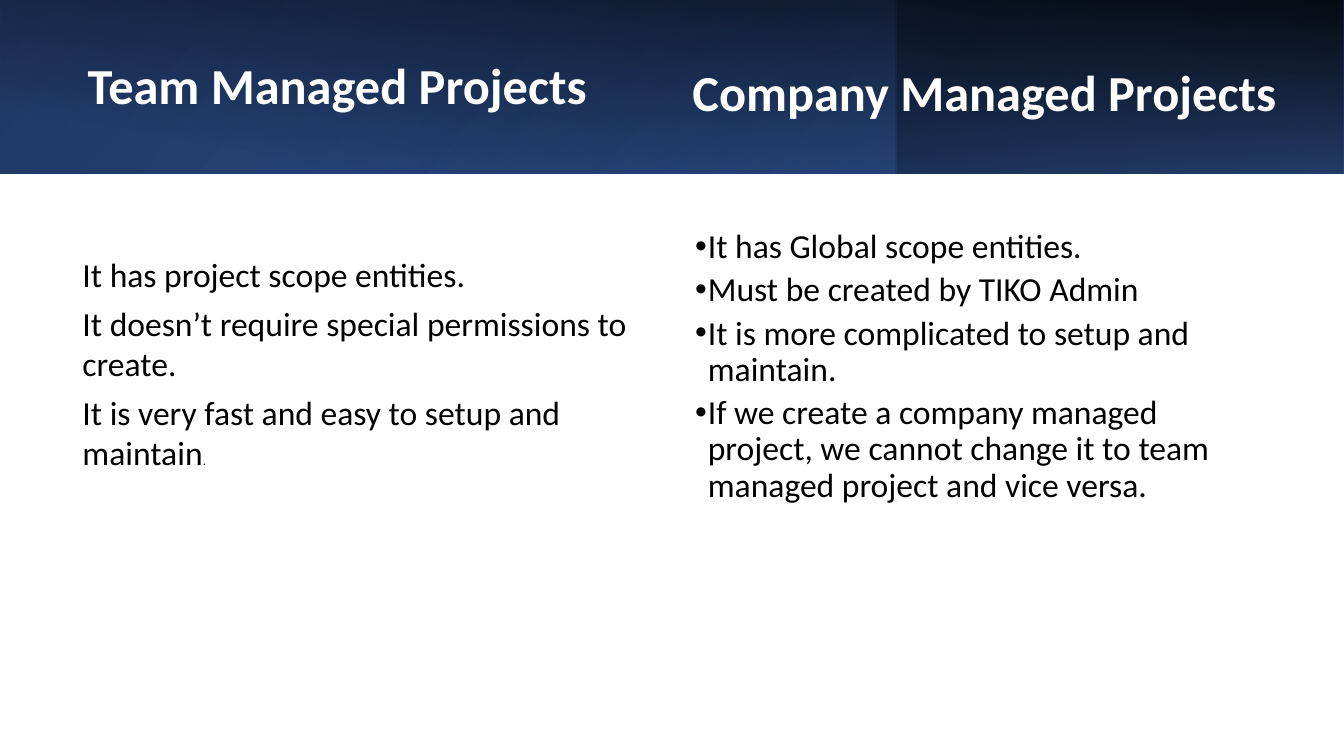
from lxml import etree
from pptx import Presentation
from pptx import util as u
from pptx.dml.color import RGBColor
from pptx.enum import shapes, text
from pptx.oxml import ns

COLORS = {
    "navy": "203864",
    "blue": "2F5597",
    "sky": "4472C4",
    "black": "000000",
    "white": "FFFFFF",
}
FONT = "Calibri"
SLIDE_WIDTH, SLIDE_HEIGHT, BAND_HEIGHT = 33.87, 19.05, 4.37
TEAM_POINTS = [
    "It has project scope entities.",
    "It doesn’t require special permissions to create.",
    "It is very fast and easy to setup and maintain",
]
COMPANY_POINTS = [
    "It has Global scope entities.",
    "Must be created by TIKO Admin",
    "It is more complicated to setup and maintain.",
    "If we create a company managed project, we cannot change it to team managed project and vice versa.",
]


def add_gradient(shape, stops, angle):
    gradient = etree.Element(ns.qn("a:gradFill"), rotWithShape="1")
    stop_list = etree.SubElement(gradient, ns.qn("a:gsLst"))
    for position, color, opacity in stops:
        stop = etree.SubElement(stop_list, ns.qn("a:gs"), pos=str(position * 1000))
        value = etree.SubElement(stop, ns.qn("a:srgbClr"), val=COLORS[color])
        if opacity < 100:
            etree.SubElement(value, ns.qn("a:alpha"), val=str(opacity * 1000))
    etree.SubElement(gradient, ns.qn("a:lin"), ang=str(angle * 60000), scaled="0")
    shape._element.spPr.find(ns.qn("a:prstGeom")).addnext(gradient)


def add_panel(slide, box, stops, angle, rotation=0, flipped=False):
    shape = slide.shapes.add_shape(shapes.MSO_SHAPE.RECTANGLE, *map(u.Cm, box))
    shape.shadow.inherit = False
    shape.line.fill.background()
    shape.rotation = rotation
    if flipped:
        shape._element.spPr.find(ns.qn("a:xfrm")).set("flipH", "1")
    add_gradient(shape, stops, angle)


def add_run(paragraph, words, size=24, color="black", bold=False):
    run = paragraph.add_run()
    run.text = words
    run.font.name = FONT
    run.font.size = u.Pt(size)
    run.font.bold = bold
    run.font.color.rgb = RGBColor.from_string(COLORS[color])


def add_bullet(paragraph, indent):
    properties = paragraph._p.get_or_add_pPr()
    properties.set("marL", str(u.Cm(indent)))
    properties.set("indent", str(-u.Cm(indent)))
    etree.SubElement(properties, ns.qn("a:buFont"), typeface="Arial")
    etree.SubElement(properties, ns.qn("a:buChar"), char="•")


def add_text(slide, box, lines, anchor=text.MSO_ANCHOR.TOP, spacing=1.0,
             before=0, after=0, bulleted=False, **font):
    frame = slide.shapes.add_textbox(*map(u.Cm, box)).text_frame
    frame.word_wrap = True
    frame.vertical_anchor = anchor
    for index, line in enumerate(lines):
        paragraph = frame.add_paragraph() if index else frame.paragraphs[0]
        paragraph.line_spacing = spacing
        paragraph.space_before = u.Pt(before)
        paragraph.space_after = u.Pt(after)
        if bulleted:
            add_bullet(paragraph, 0.32)
        add_run(paragraph, line, **font)
    return frame


def add_band(slide, left, top, width, height):
    third = width / 3
    middle = 11.96
    add_panel(slide, (left, top, width, height),
              [(0, "navy", 100), (100, "blue", 100)], 140, flipped=True)
    add_panel(slide, (left + 2 * third, top, third, height),
              [(19, "navy", 68), (100, "sky", 79)], 320, rotation=180, flipped=True)
    add_panel(slide, (left + (width - height) / 2, top + (height - width) / 2, height, width),
              [(16, "black", 0), (99, "black", 87)], 190, rotation=90)
    add_panel(slide, (left + 2 * third - middle, top, middle, height),
              [(0, "sky", 17), (74, "navy", 0)], 240)


def add_heading(slide, box, words, **format):
    add_text(slide, box, [words], anchor=text.MSO_ANCHOR.MIDDLE, spacing=0.9,
             size=36, color="white", bold=True, **format)


def add_team_column(slide, left, top, width, height):
    add_heading(slide, (left + 0.13, top + 0.99, 13.64, 2.49), "Team Managed Projects")
    frame = add_text(slide, (left, top + 6.27, width, height), TEAM_POINTS, after=6)
    add_run(frame.paragraphs[-1], ".", size=9)


def add_company_column(slide, left, top, width, height):
    add_heading(slide, (left - 0.07, top + 1.24, 16.03, 2.31),
                "Company Managed Projects", before=10, after=6)
    add_text(slide, (left, top + 5.66, width, height), COMPANY_POINTS,
             spacing=0.9, before=5, bulleted=True)


def main():
    presentation = Presentation()
    presentation.slide_width = u.Cm(SLIDE_WIDTH)
    presentation.slide_height = u.Cm(SLIDE_HEIGHT)
    slide = presentation.slides.add_slide(presentation.slide_layouts[6])
    slide.background.fill.solid()
    slide.background.fill.fore_color.rgb = RGBColor.from_string(COLORS["white"])
    add_band(slide, 0, 0, SLIDE_WIDTH, BAND_HEIGHT)
    add_team_column(slide, 1.83, 0, 14.78, 6.07)
    add_company_column(slide, 17.27, 0, 14.78, 3.48)
    presentation.save("out.pptx")


if __name__ == "__main__":
    main()
